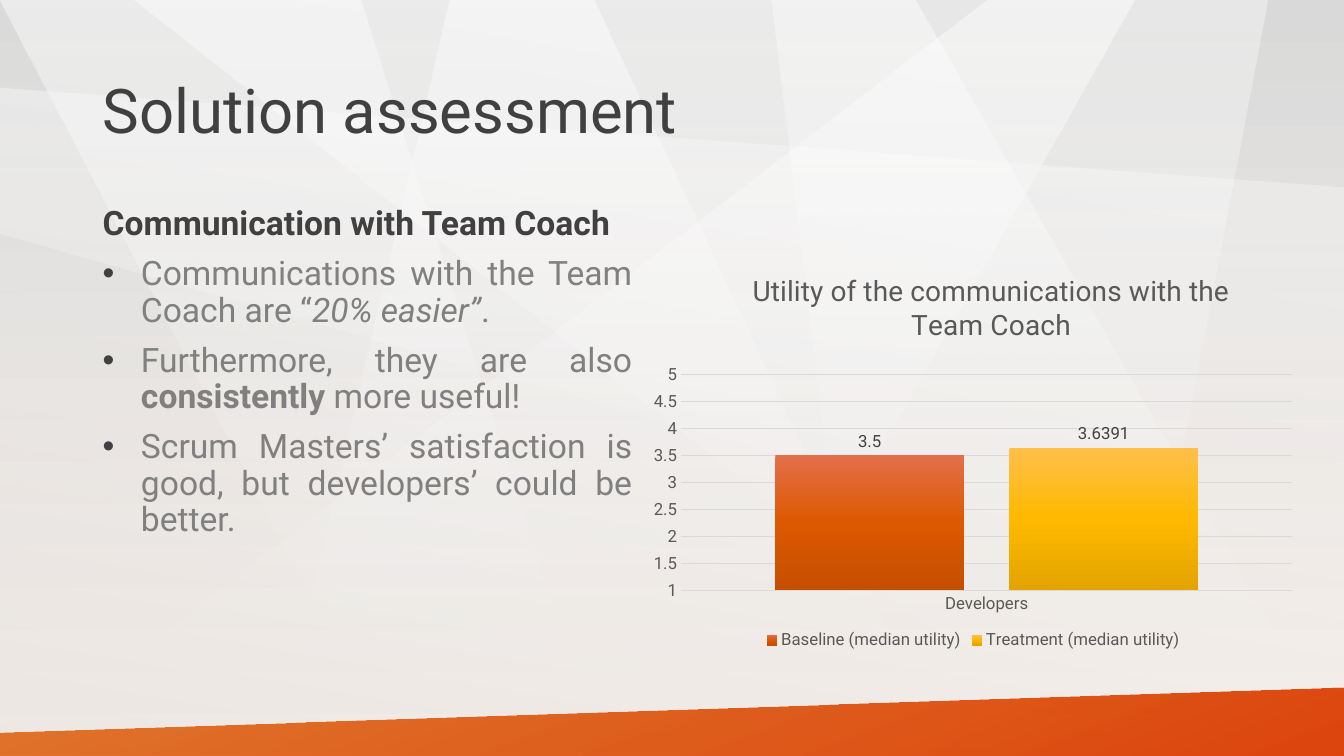
from dataclasses import dataclass

from lxml.etree import SubElement
from pptx import Presentation
from pptx.chart.data import CategoryChartData
from pptx.dml.color import RGBColor as Rgb
from pptx.enum.chart import XL_CHART_TYPE as Kind
from pptx.enum.chart import XL_LABEL_POSITION as Spot
from pptx.enum.chart import XL_LEGEND_POSITION as Side
from pptx.enum.chart import XL_TICK_MARK as Tick
from pptx.enum.shapes import MSO_SHAPE as Form
from pptx.enum.text import MSO_ANCHOR as Anchor
from pptx.enum.text import PP_ALIGN as Align
from pptx.oxml import parse_xml
from pptx.oxml.ns import nsdecls, qn
from pptx.util import Emu, Pt

SCALE = 9144
FONT = "Roboto"
HUES = {
    "dark": "404040", "gray": "808080", "label": "595959", "grid": "D9D9D9",
    "white": "FFFFFF", "cream": "FCF5EF", "shade": "BFBFBF",
    "rust": "DD5900", "red": "DC3C00", "coral": "E36F4B", "brown": "C44F00",
    "gold": "FFB900", "sun": "FFBF4B", "ochre": "E3A400",
}
WIDE, HIGH = 1333, 750


@dataclass
class Stop:
    hue: str
    alpha: int = 100


@dataclass
class Pane:
    points: list[tuple[int, int]]
    stops: list[Stop]
    angle: int = 90


@dataclass
class Run:
    text: str
    bold: bool = False
    italic: bool = False


@dataclass
class Bar:
    name: str
    value: float
    hues: list[str]


FADE = [Stop("white", 50), Stop("white", 0)]
THIN = [Stop("white", 40), Stop("white", 0)]
PANES = [
    Pane([(979, 0), (0, 751), (701, 751), (1125, 0)], FADE),
    Pane([(0, 0), (358, 0), (594, 750), (391, 750)], FADE),
    Pane([(132, 0), (907, 0), (1333, 750), (1083, 750)], FADE),
    Pane([(765, 0), (856, 750), (1115, 750), (1257, 0)], THIN),
    Pane([(589, 0), (446, 0), (272, 750), (939, 750)], FADE),
    Pane([(0, 87), (1333, 186), (1333, 610), (0, 232)], THIN),
]
BAND = Pane([(0, 727), (1334, 682), (1333, 751), (0, 751)],
            [Stop("rust", 80), Stop("red", 95)], 70)
ITEMS = [
    [Run("Communications with the Team Coach are “"),
     Run("20% easier”", italic=True), Run(".")],
    [Run("Furthermore, they are also "), Run("consistently", bold=True),
     Run(" more useful!")],
    [Run("Scrum Masters’ satisfaction is good, but developers’ could be better.")],
]
BARS = [
    Bar("Baseline (median utility)", 3.5, ["coral", "rust", "brown"]),
    Bar("Treatment (median utility)", 3.6391, ["sun", "gold", "ochre"]),
]


def px(size: int) -> Emu:
    return Emu(size * SCALE)


def box(*sizes: int) -> list[Emu]:
    return [px(size) for size in sizes]


def color(hue: str) -> Rgb:
    return Rgb.from_string(HUES[hue])


def blend(owner, stops: list[Stop], angle: int = 90) -> None:
    last = len(stops) - 1
    marks = "".join(
        f'<a:gs pos="{100000 * i // last}"><a:srgbClr val="{HUES[stop.hue]}">'
        f'<a:alpha val="{stop.alpha * 1000}"/></a:srgbClr></a:gs>'
        for i, stop in enumerate(stops))
    grad = parse_xml(
        f'<a:gradFill {nsdecls("a")} rotWithShape="1"><a:gsLst>{marks}</a:gsLst>'
        f'<a:lin ang="{angle * 60000}" scaled="0"/></a:gradFill>')
    solid = owner.xpath(".//a:solidFill")[0]
    solid.getparent().replace(solid, grad)


def paint(shape, stops: list[Stop], angle: int) -> None:
    shape.shadow.inherit = False
    shape.line.fill.background()
    shape.fill.solid()
    blend(shape.element, stops, angle)


def draw(slide, pane: Pane) -> None:
    start, *rest = pane.points
    path = slide.shapes.build_freeform(*start, scale=SCALE)
    path.add_line_segments(rest, close=True)
    paint(path.convert_to_shape(), pane.stops, pane.angle)


def style(font, size: int = 12, hue: str = "label", bold: bool = False,
          italic: bool = False) -> None:
    font.name, font.size = FONT, Pt(size)
    font.bold, font.italic = bold, italic
    font.color.rgb = color(hue)


def write(para, text: str, **format) -> None:
    run = para.add_run()
    run.text = text
    style(run.font, **format)


def space(para) -> None:
    para.alignment = Align.JUSTIFY
    para.line_spacing = 0.9
    para.space_before = Pt(10)


def bullet(para) -> None:
    props = para._p.get_or_add_pPr()
    props.set("marL", str(px(38)))
    props.set("indent", str(px(-38)))
    tint = SubElement(props, qn("a:buClr"))
    SubElement(tint, qn("a:srgbClr"), val=HUES["dark"])
    SubElement(props, qn("a:buFont"), typeface="Arial")
    SubElement(props, qn("a:buChar"), char="•")


def place(owner, index: int, **parts: float) -> None:
    for old in owner.findall(qn("c:layout")):
        owner.remove(old)
    inner = '<c:layoutTarget val="inner"/>' if "w" in parts else ""
    modes = "".join(f'<c:{key}Mode val="edge"/>' for key in "xy")
    sizes = "".join(f'<c:{key} val="{val}"/>' for key, val in parts.items())
    owner.insert(index, parse_xml(
        f'<c:layout {nsdecls("c")}><c:manualLayout>{inner}{modes}{sizes}'
        f'</c:manualLayout></c:layout>'))


def plot(slide) -> None:
    data = CategoryChartData()
    data.categories = ["Developers"]
    for bar in BARS:
        data.add_series(bar.name, [bar.value])
    chart = slide.shapes.add_chart(
        Kind.COLUMN_CLUSTERED, *box(636, 253, 659, 396), data).chart
    style(chart.font)

    head = chart.chart_title
    write(head.text_frame.paragraphs[0],
          "Utility of the communications with the Team Coach", size=20)
    head.include_in_layout = False
    place(chart.element.xpath(".//c:chart/c:title")[0], 1, x=0.16, y=0.03)
    place(chart.element.xpath(".//c:plotArea")[0], 0, x=0.06, y=0.3, w=0.92, h=0.54)

    chart.has_legend = True
    chart.legend.position = Side.BOTTOM
    chart.legend.include_in_layout = False
    style(chart.legend.font)

    cats, vals = chart.category_axis, chart.value_axis
    for axis in (cats, vals):
        axis.major_tick_mark = axis.minor_tick_mark = Tick.NONE
        style(axis.tick_labels.font)
    vals.minimum_scale, vals.maximum_scale, vals.major_unit = 1, 5, 0.5
    vals.format.line.fill.background()
    for line, width in ((cats.format.line, 1), (vals.major_gridlines.format.line, 0.75)):
        line.color.rgb = color("grid")
        line.width = Pt(width)

    group = chart.plots[0]
    group.vary_by_categories = False
    group.gap_width, group.overlap = 100, -24
    for bar, series in zip(BARS, group.series):
        series.format.fill.solid()
        blend(series._element, [Stop(hue) for hue in bar.hues])
        tags = series.data_labels
        tags.show_value = True
        tags.position = Spot.OUTSIDE_END
        style(tags.font, hue="dark")


def main() -> None:
    deck = Presentation()
    deck.slide_width, deck.slide_height = box(WIDE, HIGH)
    slide = deck.slides.add_slide(deck.slide_layouts[5])
    slide.background.fill.solid()
    blend(slide.element, [Stop("grid", 50), Stop("cream")])
    for pane in PANES:
        draw(slide, pane)
    veil = slide.shapes.add_shape(Form.RECTANGLE, *box(0, -1, WIDE, HIGH))
    paint(veil, [Stop("shade", 25), Stop("white", 0)], 280)
    draw(slide, BAND)

    title = slide.shapes.title
    title.element.getparent().append(title.element)
    title.left, title.top, title.width, title.height = box(92, 40, 1150, 145)
    title.text_frame.vertical_anchor = Anchor.MIDDLE
    line = title.text_frame.paragraphs[0]
    line.alignment, line.line_spacing = Align.LEFT, 0.9
    write(line, "Solution assessment", size=44, hue="dark")

    body = slide.shapes.add_textbox(*box(92, 200, 545, 476)).text_frame
    body.word_wrap = True
    lead = body.paragraphs[0]
    space(lead)
    write(lead, "Communication with Team Coach", size=24, hue="dark", bold=True)
    for item in ITEMS:
        para = body.add_paragraph()
        space(para)
        bullet(para)
        for run in item:
            write(para, run.text, size=24, hue="gray", bold=run.bold, italic=run.italic)

    plot(slide)
    deck.save("out.pptx")


if __name__ == "__main__":
    main()
